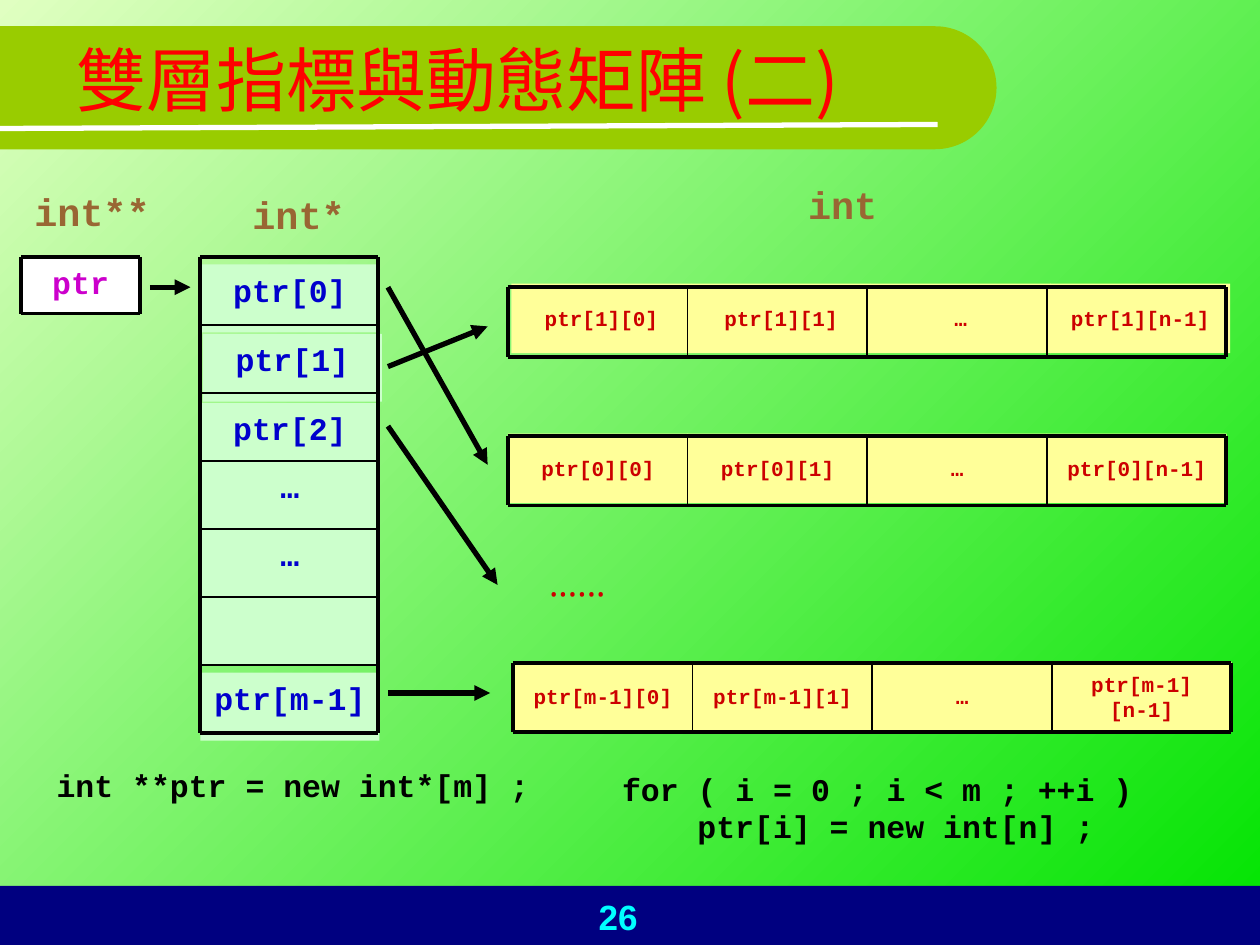
from dataclasses import dataclass
from math import cos, pi, sin

from lxml.etree import SubElement
from pptx import Presentation
from pptx.dml.color import RGBColor
from pptx.enum.shapes import MSO_CONNECTOR, MSO_SHAPE
from pptx.enum.text import MSO_ANCHOR, PP_ALIGN
from pptx.oxml.ns import qn
from pptx.util import Cm, Pt

HUES = {
    "green": "00E400", "pale": "E0FFC1", "navy": "000080", "olive": "99CC00",
    "white": "FFFFFF", "black": "000000", "red": "FF0000", "pink": "CC00CC",
    "mint": "CCFFCC", "blue": "0000CC", "cream": "FFFF99", "dark": "CC0000",
    "brown": "996633", "cyan": "00FFFF",
}
MONO = "Courier New"
THICK, THIN, BOLD = 2.25, 1, 3
WIDE, TALL = 3.62, 1.4
STEP = 1.37


@dataclass
class Box:
    """A place on the slide, in centimetres."""
    left: float
    top: float
    width: float
    height: float


@dataclass
class Row:
    """One row of the matrix: cell origin, grid origin and cell texts."""
    left: float
    top: float
    edge: float
    rule: float
    words: list[str]


@dataclass
class Label:
    """A free text with its place and format."""
    box: Box
    text: str
    style: dict


def shade(hue: str) -> RGBColor:
    """Return the named colour."""
    return RGBColor.from_string(HUES[hue])


def write(shape, text: str, *, size: float, hue: str, font: str = MONO, bold: bool = True,
          align=PP_ALIGN.LEFT, anchor=MSO_ANCHOR.TOP, before: float = 0,
          indent: float = 0) -> None:
    """Fill a shape with text, indenting every line after the first."""
    frame = shape.text_frame
    frame.word_wrap = True
    frame.vertical_anchor = anchor
    for num, words in enumerate(text.split("\n")):
        para = frame.add_paragraph() if num else frame.paragraphs[0]
        para.alignment = align
        para.space_before = Pt(0 if num else before)
        if num:
            para._p.get_or_add_pPr().set("marL", str(Cm(indent)))
        run = para.add_run()
        run.text = words
        run.font.size, run.font.bold, run.font.name = Pt(size), bold, font
        run.font.color.rgb = shade(hue)
        SubElement(run._r.get_or_add_rPr(), qn("a:ea")).set("typeface", font)


def paint(shape, fill: str) -> None:
    """Give a shape a flat fill with no outline or shadow."""
    shape.shadow.inherit = False
    shape.fill.solid()
    shape.fill.fore_color.rgb = shade(fill)
    shape.line.fill.background()


def place(box: Box) -> tuple:
    """Return the lengths of a box."""
    return Cm(box.left), Cm(box.top), Cm(box.width), Cm(box.height)


def block(slide, box: Box, fill: str, text: str = "", **style) -> None:
    """Draw a filled rectangle with centred text."""
    shape = slide.shapes.add_shape(MSO_SHAPE.RECTANGLE, *place(box))
    paint(shape, fill)
    if text:
        write(shape, text, align=PP_ALIGN.CENTER, **style)


def line(slide, x: float, y: float, right: float, low: float, width: float,
         hue: str = "black", arrow: bool = False) -> None:
    """Draw a straight line, with an arrowhead at its end if asked."""
    link = slide.shapes.add_connector(MSO_CONNECTOR.STRAIGHT, Cm(x), Cm(y), Cm(right), Cm(low))
    link.line.color.rgb = shade(hue)
    link.line.width = Pt(width)
    if arrow:
        SubElement(link.line._get_or_add_ln(), qn("a:tailEnd")).set("type", "triangle")
    SubElement(link._element.spPr, qn("a:effectLst"))


def grid(slide, box: Box, cols: int, rows: int) -> None:
    """Rule a grid with thick outer and thin inner lines."""
    right, low = box.left + box.width, box.top + box.height
    for num in range(rows + 1):
        y = box.top + num * box.height / rows
        line(slide, box.left, y, right, y, THIN if 0 < num < rows else THICK)
    for num in range(cols + 1):
        x = box.left + num * box.width / cols
        line(slide, x, box.top, x, low, THIN if 0 < num < cols else THICK)


def banner(slide) -> None:
    """Draw the title band with its round right end and white rule."""
    mid, top, rad, turns = 18.85, 0.53, 1.24, 48
    arc = [(Cm(mid + rad * sin(pi * n / turns)), Cm(top + rad - rad * cos(pi * n / turns)))
           for n in range(turns + 1)]
    form = slide.shapes.build_freeform(Cm(0), Cm(top))
    form.add_line_segments([*arc, (Cm(0), Cm(top + 2 * rad))], close=True)
    paint(form.convert_to_shape(), "olive")
    line(slide, 0, 2.59, 18.9, 2.51, BOLD, "white")


def matrix(slide, row: Row) -> None:
    """Draw one row of cells and its grid."""
    for num, text in reversed(list(enumerate(row.words))):
        block(slide, Box(row.left + num * WIDE, row.top, 3.63, TALL), "cream", text,
              size=12, hue="dark", before=3, anchor=MSO_ANCHOR.MIDDLE)
    grid(slide, Box(row.edge, row.rule, 4 * WIDE, TALL), 4, 1)


def main() -> None:
    """Build the slide and save it."""
    deck = Presentation()
    deck.slide_width, deck.slide_height = Cm(25.4), Cm(19.05)
    slide = deck.slides.add_slide(deck.slide_layouts[6])
    back = slide.background.fill
    back.gradient()
    back.gradient_angle = 135
    for stop, hue in zip(back.gradient_stops, ("green", "pale")):
        stop.color.rgb = shade(hue)

    block(slide, Box(0, 17.86, 25.4, 1.19), "navy")
    banner(slide)

    first = Box(0.43, 5.18, 2.39, 1.14)
    block(slide, first, "white", "ptr", size=18, hue="pink", before=4.5)
    grid(slide, first, 1, 1)

    stack = [(4.04, 5.33, "ptr[0]"), (4.09, 6.73, "ptr[1]"), (4.04, 8.13, "ptr[2]"),
             (4.04, 9.3, "…"), (4.04, 10.67, "…"), (4.04, 12.04, ""),
             (4.04, 13.56, "ptr[m-1]")]
    for x, y, text in reversed(stack):
        block(slide, Box(x, y, 3.61, STEP), "mint", text, size=18, hue="blue", before=4.5)
    grid(slide, Box(4.04, 5.18, 3.58, 7 * STEP), 1, 7)

    for left, top, edge, rule, key in [(10.31, 5.72, 10.24, 5.79, "1"),
                                       (10.24, 8.74, 10.24, 8.79, "0"),
                                       (10.34, 13.34, 10.34, 13.36, "m-1")]:
        words = [f"ptr[{key}][0]", f"ptr[{key}][1]", "…", f"ptr[{key}][n-1]"]
        matrix(slide, Row(left, top, edge, rule, words))

    for ends in [(3.02, 5.79, 3.84, 5.79), (7.82, 7.39, 9.83, 6.58), (7.82, 5.79, 9.83, 9.37),
                 (7.82, 8.59, 10.03, 11.79), (7.82, 13.97, 9.88, 13.97)]:
        line(slide, *ends, BOLD, arrow=True)

    head = dict(size=22, hue="brown", before=13.8, align=PP_ALIGN.CENTER)
    code = dict(size=18, hue="black", before=11.2, indent=1.52)
    labels = [
        Label(Box(1.3, 0, 22.86, 3.18), "雙層指標與動態矩陣 (二)",
              dict(size=40, hue="red", font="Noto Sans CJK SC", bold=False,
                   anchor=MSO_ANCHOR.MIDDLE)),
        Label(Box(0, 3.66, 3.71, 1.19), "int**", head),
        Label(Box(4.42, 3.73, 3.2, 1.19), "int*", head),
        Label(Box(15.62, 3.53, 3.2, 1.19), "int ", head),
        Label(Box(10.82, 11.33, 5.21, 1.12), "‧‧‧‧‧‧",
              dict(size=20, hue="dark", font="Arial", bold=False, before=12.5)),
        Label(Box(0.89, 15.32, 10.49, 1.02), "int **ptr = new int*[m] ;", code),
        Label(Box(12.29, 15.39, 12.4, 1.78),
              "for ( i = 0 ; i < m ; ++i )\nptr[i] = new int[n] ;", code),
        Label(Box(9.5, 17.93, 5.92, 1.78), "26",
              dict(size=20, hue="cyan", font="Arial", align=PP_ALIGN.CENTER)),
    ]
    for label in labels:
        write(slide.shapes.add_textbox(*place(label.box)), label.text, **label.style)

    deck.save("out.pptx")


if __name__ == "__main__":
    main()
